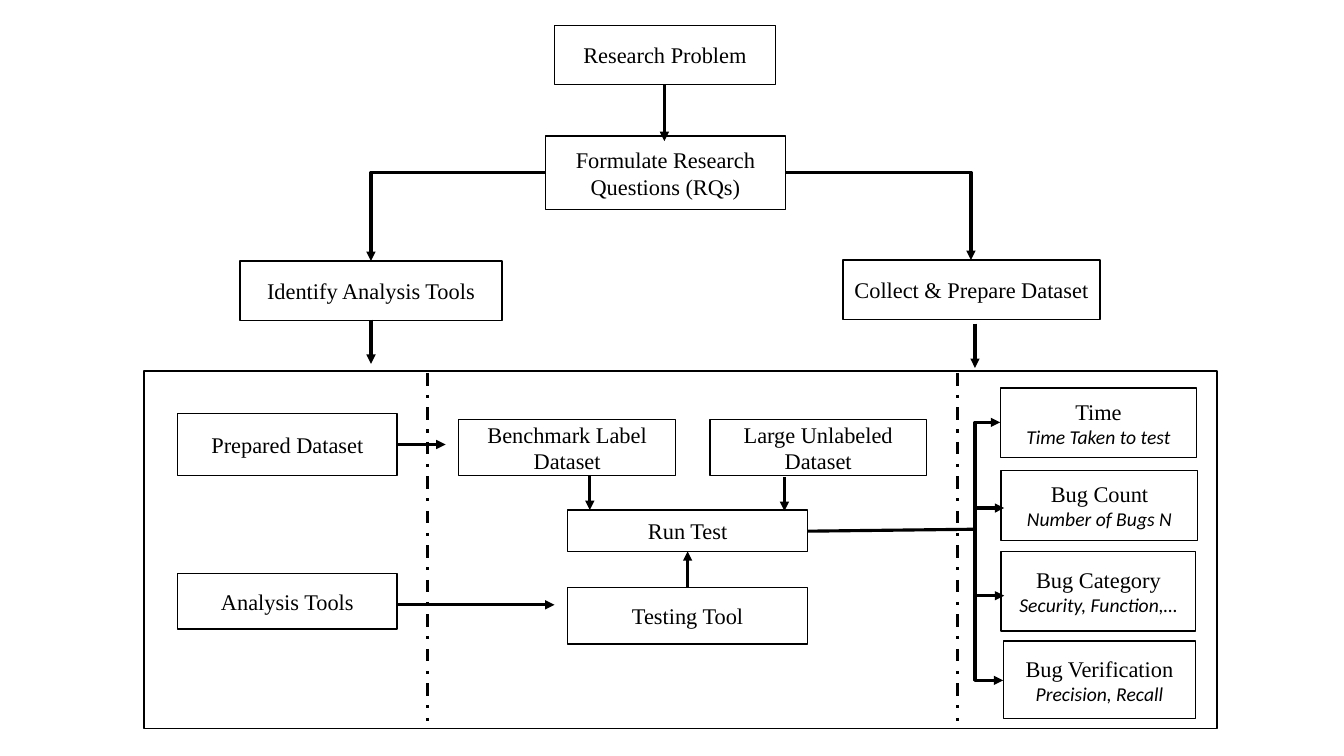
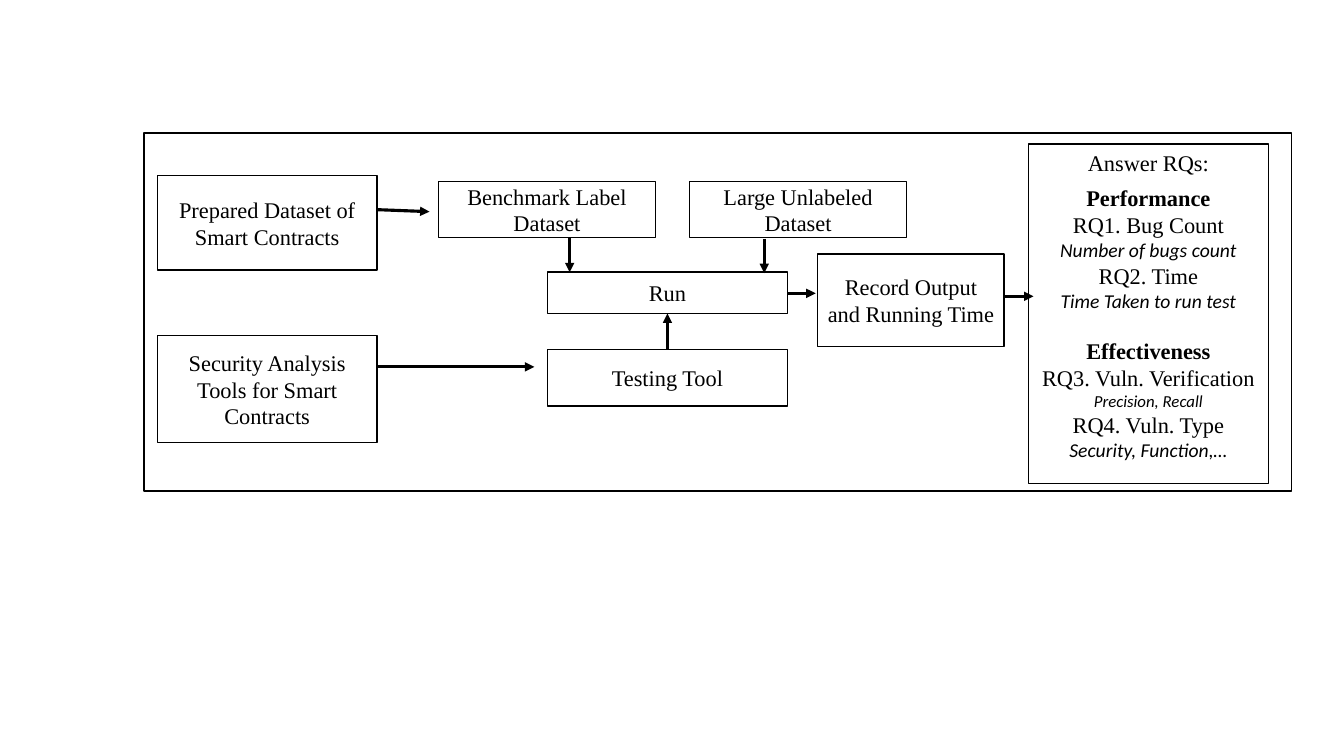
import lxml.etree
import pptx
import pptx.dml.color
import pptx.enum.dml
import pptx.enum.shapes
import pptx.enum.text
import pptx.oxml.ns
import pptx.util

PX = 9144  # 100 px to the inch
BLACK, WHITE = "000000", "FFFFFF"
qn = pptx.oxml.ns.qn


def color(hex_code):
    return pptx.dml.color.RGBColor.from_string(hex_code)


def add_text(frame, text, size=16, font="Times New Roman", bold=False, italic=False, before=0):
    """Write one centred paragraph, using the first one while it is empty."""
    para = frame.paragraphs[0] if not frame.text else frame.add_paragraph()
    para.alignment = pptx.enum.text.PP_ALIGN.CENTER
    para.space_before = pptx.util.Pt(before)
    span = para.add_run()
    span.text = text
    span.font.size = pptx.util.Pt(size)
    span.font.name = font
    span.font.bold = bold
    span.font.italic = italic
    span.font.color.rgb = color(BLACK)


# Text formats
PLAIN = {}
HEADING = {"bold": True}
DETAIL = {"size": 14, "font": "Calibri", "italic": True}

# Line styles: preset shape, arrowheads, dash
LINE_STYLES = {
    "arrow": ("line", ["tailEnd"], False),
    "plain": ("line", [], False),
    "divider": ("line", [], True),
    "corner": ("bentConnector2", ["tailEnd"], False),
    "bracket": ("bentConnector3", ["headEnd", "tailEnd"], False),
}
BRACKET_REACH = 25  # how far the bracket runs left of its ends

# Test pipeline that both slides show, placed for the first slide
pipeline_boxes = [
    (455, 416, 215, 56, "Benchmark Label Dataset"),
    (704, 416, 215, 56, "Large Unlabeled Dataset"),
    (563, 583, 238, 56, "Testing Tool"),
]
pipeline_arrows = [
    (585, 472, 585, 506),
    (778, 473, 778, 507),
    (682, 583, 682, 547),
]

# Each box is left, top, width, height and its text, or a list of (text, format)
slides = [
    {
        "frame": (143, 368, 1064, 355),
        "pipeline_offset": (0, 0),
        "boxes": [
            (550, 25, 219, 59, "Research Problem"),
            (541, 135, 238, 73, "Formulate Research Questions (RQs)"),
            (238, 259, 260, 59, "Identify Analysis Tools"),
            (836, 258, 255, 59, "Collect & Prepare Dataset"),
            (176, 410, 218, 62, "Prepared Dataset"),
            (176, 569, 218, 55, "Analysis Tools"),
            (563, 506, 238, 41, "Run Test"),
            (992, 385, 195, 69, [("Time", PLAIN), ("Time Taken to test", DETAIL)]),
            (993, 467, 195, 69, [("Bug Count", PLAIN), ("Number of Bugs N", DETAIL)]),
            (993, 547, 193, 79, [("Bug Category", PLAIN), ("Security, Function,…", DETAIL)]),
            (995, 636, 191, 77, [("Bug Verification", PLAIN), ("Precision, Recall", DETAIL)]),
        ],
        "lines": [
            ("arrow", 659, 84, 659, 140),
            ("corner", 541, 171, 368, 259),
            ("corner", 779, 171, 963, 258),
            ("arrow", 368, 317, 368, 361),
            ("arrow", 967, 321, 967, 365),
            ("divider", 424, 370, 424, 715),
            ("divider", 950, 370, 950, 715),
            ("arrow", 394, 441, 442, 441),
            ("arrow", 394, 600, 550, 600),
            ("bracket", 992, 419, 995, 675),
            ("plain", 801, 527, 969, 525),
            ("arrow", 968, 504, 996, 504),
            ("arrow", 968, 591, 996, 591),
        ],
    },
    {
        "frame": (143, 132, 1138, 355),
        "pipeline_offset": (-20, -236),
        "boxes": [
            (156, 174, 218, 94, "Prepared Dataset of Smart Contracts"),
            (156, 333, 218, 106, "Security Analysis Tools for Smart Contracts"),
            (543, 270, 238, 41, "Run"),
            (811, 252, 185, 92, "Record Output and Running Time"),
            (1020, 143, 238, 337, [
                ("Answer RQs:", PLAIN),
                ("Performance", {**HEADING, "before": 6}),
                ("RQ1. Bug Count", PLAIN),
                ("Number of bugs count", DETAIL),
                ("RQ2. Time", PLAIN),
                ("Time Taken to run test", DETAIL),
                ("Effectiveness", {**HEADING, "before": 18}),
                ("RQ3. Vuln. Verification", PLAIN),
                ("Precision, Recall", {**DETAIL, "size": 12}),
                ("RQ4. Vuln. Type", PLAIN),
                ("Security, Function,…", DETAIL),
            ], 22),
        ],
        "lines": [
            ("arrow", 374, 208, 426, 210),
            ("arrow", 374, 364, 530, 364),
            ("arrow", 781, 291, 809, 291),
            ("arrow", 997, 294, 1025, 294),
        ],
    },
]

deck = pptx.Presentation()
deck.slide_width = 1333 * PX
deck.slide_height = 750 * PX

for content in slides:
    page = deck.slides.add_slide(deck.slide_layouts[6])
    shift_x, shift_y = content["pipeline_offset"]

    # Frame first, then the slide's own boxes and the shared ones
    boxes = [(*content["frame"], [])] + content["boxes"]
    boxes += [(x + shift_x, y + shift_y, w, h, text) for x, y, w, h, text in pipeline_boxes]
    for left, top, width, height, text, *bottom_inset in boxes:
        box = page.shapes.add_shape(
            pptx.enum.shapes.MSO_SHAPE.RECTANGLE, left * PX, top * PX, width * PX, height * PX)
        box.shadow.inherit = False
        box.line.color.rgb = color(BLACK)
        box.line.width = pptx.util.Pt(1)
        if not text:
            box.fill.background()
            continue
        box.fill.solid()
        box.fill.fore_color.rgb = color(WHITE)
        frame = box.text_frame
        frame.word_wrap = True
        frame.vertical_anchor = pptx.enum.text.MSO_ANCHOR.MIDDLE
        if bottom_inset:
            frame.margin_bottom = bottom_inset[0] * PX
        for words, text_format in [(text, PLAIN)] if isinstance(text, str) else text:
            add_text(frame, words, **text_format)

    # Lines and arrows
    lines = content["lines"] + [
        ("arrow", x1 + shift_x, y1 + shift_y, x2 + shift_x, y2 + shift_y)
        for x1, y1, x2, y2 in pipeline_arrows]
    for style, x1, y1, x2, y2 in lines:
        preset, heads, dashed = LINE_STYLES[style]
        line = page.shapes.add_connector(
            pptx.enum.shapes.MSO_CONNECTOR.STRAIGHT, x1 * PX, y1 * PX, x2 * PX, y2 * PX)
        line.line.color.rgb = color(BLACK)
        line.line.width = pptx.util.Pt(2.25)
        if dashed:
            line.line.dash_style = pptx.enum.dml.MSO_LINE.DASH_DOT
        properties = line._element.spPr
        geometry = properties.find(qn("a:prstGeom"))
        geometry.set("prst", preset)
        if style == "bracket":
            reach = round(-100000 * BRACKET_REACH / (x2 - x1))
            lxml.etree.SubElement(
                geometry.find(qn("a:avLst")), qn("a:gd"), name="adj1", fmla=f"val {reach}")
        for head in heads:
            lxml.etree.SubElement(properties.find(qn("a:ln")), qn(f"a:{head}"), type="triangle")
        lxml.etree.SubElement(properties, qn("a:effectLst"))

deck.save("out.pptx")
